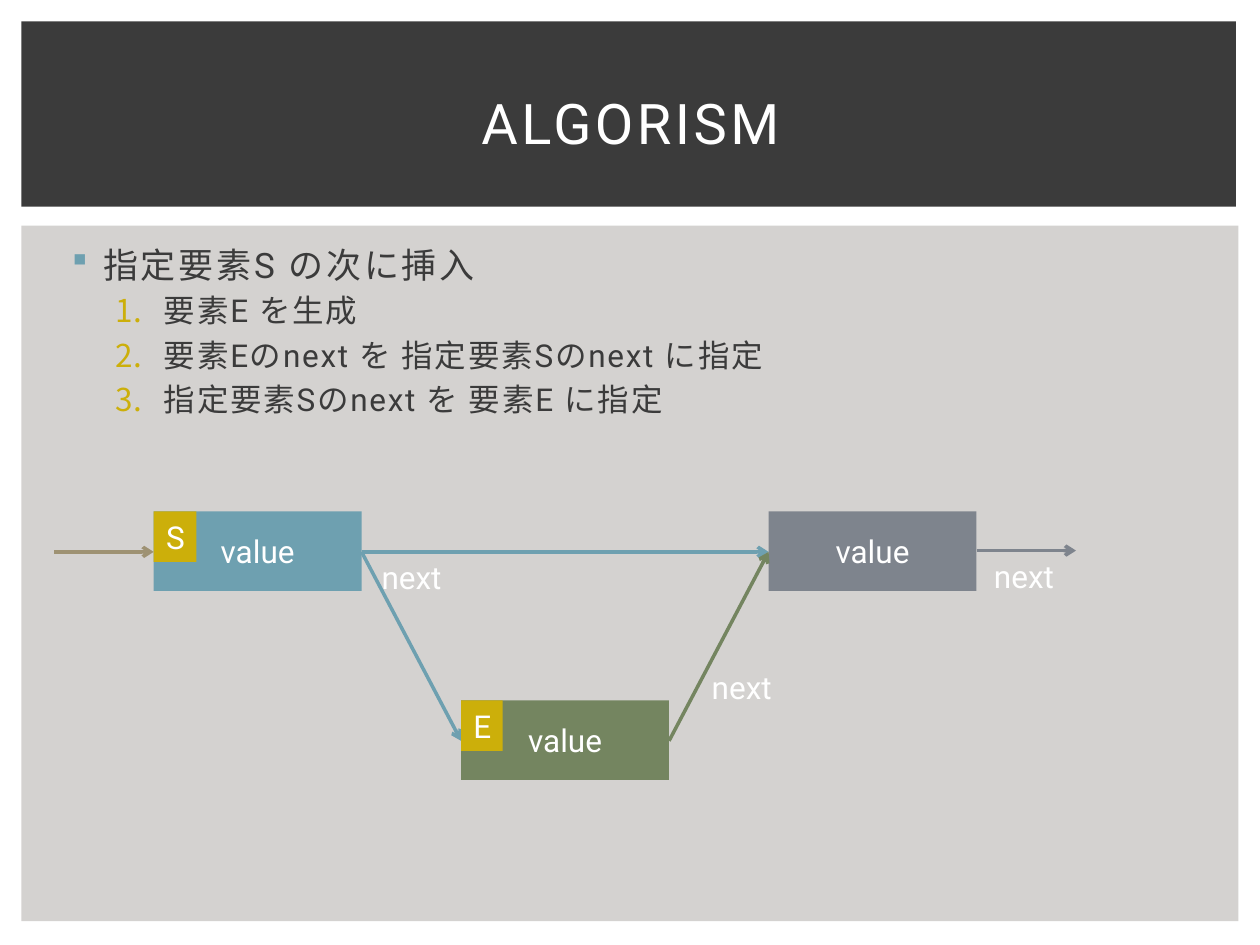
from dataclasses import dataclass
from typing import Any

from lxml.etree import SubElement
from pptx import Presentation
from pptx.dml.color import RGBColor
from pptx.enum.shapes import MSO_CONNECTOR as CONN, MSO_SHAPE as SHAPE
from pptx.enum.text import MSO_ANCHOR as ANCHOR, MSO_AUTO_SIZE as FIT, PP_ALIGN as ALIGN
from pptx.oxml.ns import qn
from pptx.util import Inches, Pt

WHITE = RGBColor(0xFF, 0xFF, 0xFF)
DARK = RGBColor(0x3B, 0x3B, 0x3B)
LIGHT = RGBColor(0xD4, 0xD2, 0xD0)
BLUE = RGBColor(0x6E, 0xA0, 0xB0)
GREEN = RGBColor(0x74, 0x85, 0x60)
GRAY = RGBColor(0x7E, 0x84, 0x8D)
GOLD = RGBColor(0xCC, 0xAF, 0x0A)
TAN = RGBColor(0x9E, 0x92, 0x73)


def put_text(p, text, size=18, color=WHITE, font="Roboto", align=None, spacing=None):
    if align is not None:
        p.alignment = align
    r = p.add_run()
    r.text = text
    r.font.name, r.font.size = font, Pt(size)
    r.font.color.rgb = color
    if spacing:
        r.font._element.set("spc", str(int(spacing * 100)))


def set_bullet(p, color, left, hang, char=None):
    pPr = p._p.get_or_add_pPr()
    pPr.set("marL", str(Inches(left)))
    pPr.set("indent", str(-Inches(hang)))
    clr = SubElement(pPr, qn("a:buClr"))
    SubElement(clr, qn("a:srgbClr"), val=str(color))
    if char:
        SubElement(pPr, qn("a:buFont"), typeface="Wingdings")
        SubElement(pPr, qn("a:buChar"), char=char)
    else:
        SubElement(pPr, qn("a:buFont"), typeface="+mj-lt")
        SubElement(pPr, qn("a:buAutoNum"), type="arabicPeriod")


def place(sp, x, y, w, h):
    sp.left, sp.top, sp.width, sp.height = map(Inches, (x, y, w, h))


@dataclass
class Deck:
    s: Any
    node_w: float = 1.65
    node_h: float = 0.63
    line_w: float = 2

    def rect(self, x, y, w, h, fill):
        sp = self.s.shapes.add_shape(SHAPE.RECTANGLE, *map(Inches, (x, y, w, h)))
        sp.shadow.inherit = False
        sp.fill.solid()
        sp.fill.fore_color.rgb = fill
        sp.line.fill.background()
        return sp

    def panel(self, x, y, w, h, fill):
        sp = self.rect(x, y, w, h, fill)
        self.s.shapes.title.element.addprevious(sp.element)

    def title(self, text, x, y, w, h):
        sp = self.s.shapes.title
        place(sp, x, y, w, h)
        tf = sp.text_frame
        tf.auto_size, tf.vertical_anchor = FIT.NONE, ANCHOR.MIDDLE
        put_text(tf.paragraphs[0], text, size=32, align=ALIGN.CENTER, spacing=2)

    def body(self, heading, steps, x, y, w, h):
        sp = self.s.placeholders[1]
        place(sp, x, y, w, h)
        tf = sp.text_frame
        tf.auto_size = FIT.NONE
        p = tf.paragraphs[0]
        p.space_before = Pt(4)
        set_bullet(p, BLUE, 0.3, 0.25, char="§")
        put_text(p, heading, size=20, color=DARK, spacing=1.5)
        for step in steps:
            p = tf.add_paragraph()
            p.level, p.space_before = 1, Pt(3.6)
            set_bullet(p, GOLD, 0.78, 0.38)
            put_text(p, step, color=DARK, spacing=1)

    def node(self, x, y, fill):
        sp = self.rect(x, y, self.node_w, self.node_h, fill)
        tf = sp.text_frame
        tf.vertical_anchor = ANCHOR.MIDDLE
        put_text(tf.paragraphs[0], "value", align=ALIGN.CENTER)

    def fit_text(self, sp, text):
        tf = sp.text_frame
        tf.word_wrap, tf.auto_size = False, FIT.SHAPE_TO_FIT_TEXT
        tf.vertical_anchor = ANCHOR.TOP
        put_text(tf.paragraphs[0], text, align=ALIGN.LEFT)

    def tag(self, text, x, y, w):
        self.fit_text(self.rect(x, y, w, 0.4, GOLD), text)

    def label(self, text, x, y):
        box = self.s.shapes.add_textbox(*map(Inches, (x, y, 0.68, 0.4)))
        self.fit_text(box, text)

    def arrow(self, start, end, color):
        cn = self.s.shapes.add_connector(CONN.STRAIGHT, *map(Inches, (*start, *end)))
        cn.line.color.rgb = color
        cn.line.width = Pt(self.line_w)
        SubElement(cn.line._get_or_add_ln(), qn("a:tailEnd"), type="arrow")
        SubElement(cn.element.spPr, qn("a:effectLst"))


prs = Presentation()
prs.slide_width, prs.slide_height = Inches(10), Inches(7.5)
d = Deck(prs.slides.add_slide(prs.slide_layouts[1]))

d.panel(0.17, 1.79, 9.66, 5.52, LIGHT)
d.panel(0.17, 0.17, 9.64, 1.47, DARK)
d.title("ALGORISM", 0.42, 0.39, 9.17, 1.15)
d.body(
    "指定要素S の次に挿入",
    ["要素E を生成", "要素Eのnext を 指定要素Sのnext に指定", "指定要素Sのnext を 要素E に指定"],
    0.42, 1.88, 9.19, 4.82,
)

S_X, E_X, NEXT_X = 1.22, 3.66, 6.1
TOP, LOW = 4.06, 5.56
TOP_MID, LOW_MID = TOP + 0.32, LOW + 0.32
STEP = 0.79
s_in, s_out = (S_X, TOP_MID), (S_X + d.node_w, TOP_MID)
e_in, e_out = (E_X, LOW_MID), (E_X + d.node_w, LOW_MID)
next_in, next_out = (NEXT_X, TOP_MID), (NEXT_X + d.node_w, TOP_MID - 0.01)

for x, y, fill in [(S_X, TOP, BLUE), (E_X, LOW, GREEN), (NEXT_X, TOP, GRAY)]:
    d.node(x, y, fill)
for start, end, color in [
    (s_out, next_in, BLUE),
    (e_out, next_in, GREEN),
    (next_out, (next_out[0] + STEP, next_out[1]), GRAY),
    (s_out, e_in, BLUE),
    ((S_X - STEP, TOP_MID), s_in, TAN),
]:
    d.arrow(start, end, color)
for x, y in [(2.93, 4.38), (5.55, 5.25), (7.79, 4.37)]:
    d.label("next", x, y)
d.tag("S", S_X, TOP, 0.34)
d.tag("E", E_X, LOW, 0.33)

prs.save("out.pptx")
